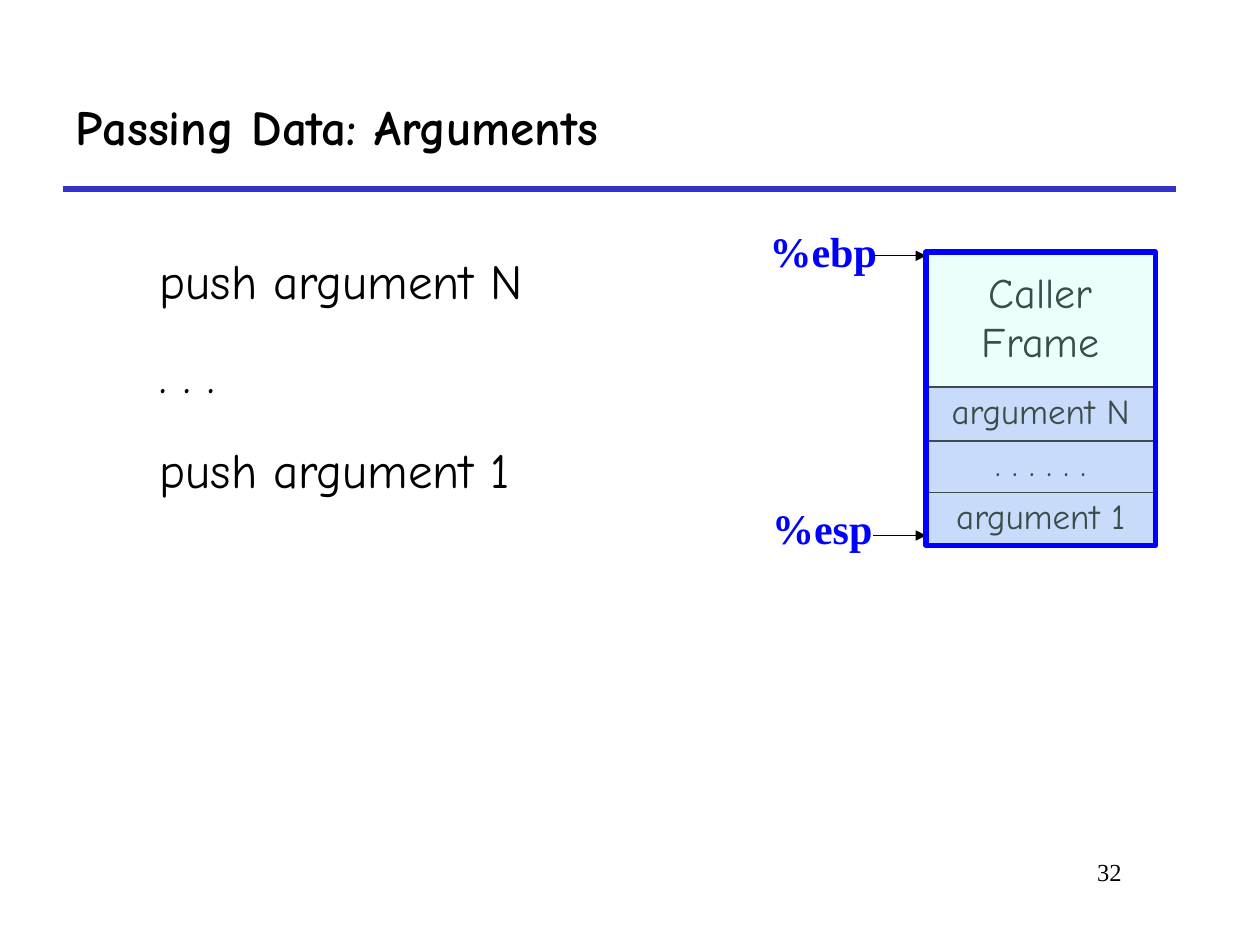
import lxml.etree
import pptx
import pptx.dml.color
import pptx.enum.shapes
import pptx.enum.text
import pptx.oxml
import pptx.oxml.ns
import pptx.util

Inches, Pt = pptx.util.Inches, pptx.util.Pt
Align, Anchor = pptx.enum.text.PP_ALIGN, pptx.enum.text.MSO_ANCHOR
qn = pptx.oxml.ns.qn


class Theme:
    black = pptx.dml.color.RGBColor(0x00, 0x00, 0x00)
    rule = pptx.dml.color.RGBColor(0x33, 0x33, 0xCC)
    blue = pptx.dml.color.RGBColor(0x00, 0x00, 0xFF)
    argument = pptx.dml.color.RGBColor(0xCC, 0xCC, 0xFF)
    tint = pptx.dml.color.RGBColor(0xC2, 0xFF, 0xF0)
    hand, serif = "Comic Neue", "Times New Roman"
    heading, label, cell, number = Pt(28), Pt(24), Pt(20), Pt(14)


def write(frame, text, font, size, color=Theme.black, bold=False, align=Align.LEFT):
    frame.text = text
    for para in frame.paragraphs:
        para.alignment = align
        for span in para.runs:
            span.font.name, span.font.size = font, size
            span.font.bold, span.font.color.rgb = bold, color


def add_line(start, end, color, width):
    line = page.shapes.add_connector(
        pptx.enum.shapes.MSO_CONNECTOR.STRAIGHT, *map(Inches, start + end))
    line.line.color.rgb, line.line.width = color, width
    properties = line.line._get_or_add_ln().getparent()
    lxml.etree.SubElement(properties, qn("a:effectLst"))
    return line


deck = pptx.Presentation()
deck.slide_width, deck.slide_height = Inches(10), Inches(7.5)
page = deck.slides.add_slide(deck.slide_layouts[6])

# Rule under the title
add_line((0.5, 1.5), (9.33, 1.5), Theme.rule, Pt(3))

# Stack frame: arguments from the bottom up, then the whole caller frame
stack_left, stack_top, stack_width, stack_height = 7.35, 2, 1.82, 2.33
cells = [
    ("argument 1", 3.9, 0.43, Theme.cell, Theme.argument, 0.05),
    (". . . . . .", 3.48, 0.43, Theme.cell, Theme.argument, 0.05),
    ("argument N", 3.07, 0.43, Theme.cell, Theme.argument, 0.05),
    ("Caller\vFrame", stack_top, stack_height, Theme.label, None, 0.15),
]
for text, top, height, size, fill, margin in cells:
    table = page.shapes.add_table(
        1, 1, Inches(stack_left), Inches(top), Inches(stack_width), Inches(height)).table
    cell = table.cell(0, 0)
    cell.margin_top = Inches(margin)
    write(cell.text_frame, text, Theme.hand, size, align=Align.CENTER)
    properties = cell._tc.get_or_add_tcPr()
    for side in ("a:lnL", "a:lnR", "a:lnT", "a:lnB"):
        border = lxml.etree.SubElement(properties, qn(side), w=str(Pt(1.08)))
        solid = lxml.etree.SubElement(border, qn("a:solidFill"))
        lxml.etree.SubElement(solid, qn("a:srgbClr"), val=str(Theme.black))
    if fill is None:
        cell.fill.background()
    else:
        cell.fill.solid()
        cell.fill.fore_color.rgb = fill

# Title, instructions and page number
box = page.shapes.add_textbox(Inches(0.5), Inches(0.5), Inches(8.83), Inches(1))
box.text_frame.word_wrap = True
box.text_frame.vertical_anchor = Anchor.MIDDLE
write(box.text_frame, "Passing Data: Arguments", Theme.hand, Theme.heading, bold=True)

box = page.shapes.add_textbox(Inches(1.17), Inches(1.75), Inches(8.5), Inches(4.83))
box.text_frame.word_wrap = True
write(box.text_frame, "push argument N\n. . .\npush argument 1", Theme.hand, Theme.heading)
for index, para in enumerate(box.text_frame.paragraphs):
    para.line_spacing = 1.4
    para.space_before = Pt(7 if index else 0)

box = page.shapes.add_textbox(Inches(7.58), Inches(6.75), Inches(1.42), Inches(0.5))
box.text_frame.word_wrap = True
write(box.text_frame, "32", Theme.serif, Theme.number, align=Align.RIGHT)

# Register labels with arrows into the stack
label_width, label_height = 1.1, 0.5
for name, left, top, arrow_y in [
    ("%ebp", 6.01, 1.74, 2.03),
    ("%esp", 6.03, 3.94, 4.25),
]:
    box = page.shapes.add_textbox(
        Inches(left), Inches(top), Inches(label_width), Inches(label_height))
    box.text_frame.word_wrap = True
    write(box.text_frame, name, Theme.serif, Theme.label, Theme.blue, bold=True)
    arrow = add_line((6.93, arrow_y), (stack_left, arrow_y), Theme.black, Pt(0.75))
    lxml.etree.SubElement(arrow.line._get_or_add_ln(), qn("a:tailEnd"), type="triangle")

# Translucent outline over the stack
outline = page.shapes.add_shape(
    pptx.enum.shapes.MSO_SHAPE.RECTANGLE, Inches(stack_left), Inches(stack_top),
    Inches(stack_width), Inches(stack_height))
outline.shadow.inherit = False
outline.fill.solid()
outline.fill.fore_color.rgb = Theme.tint
outline.line.color.rgb, outline.line.width = Theme.blue, Pt(3)
tint = outline._element.spPr.find(qn("a:solidFill")).find(qn("a:srgbClr"))
lxml.etree.SubElement(tint, qn("a:alpha"), val="30000")

deck.save("out.pptx")
